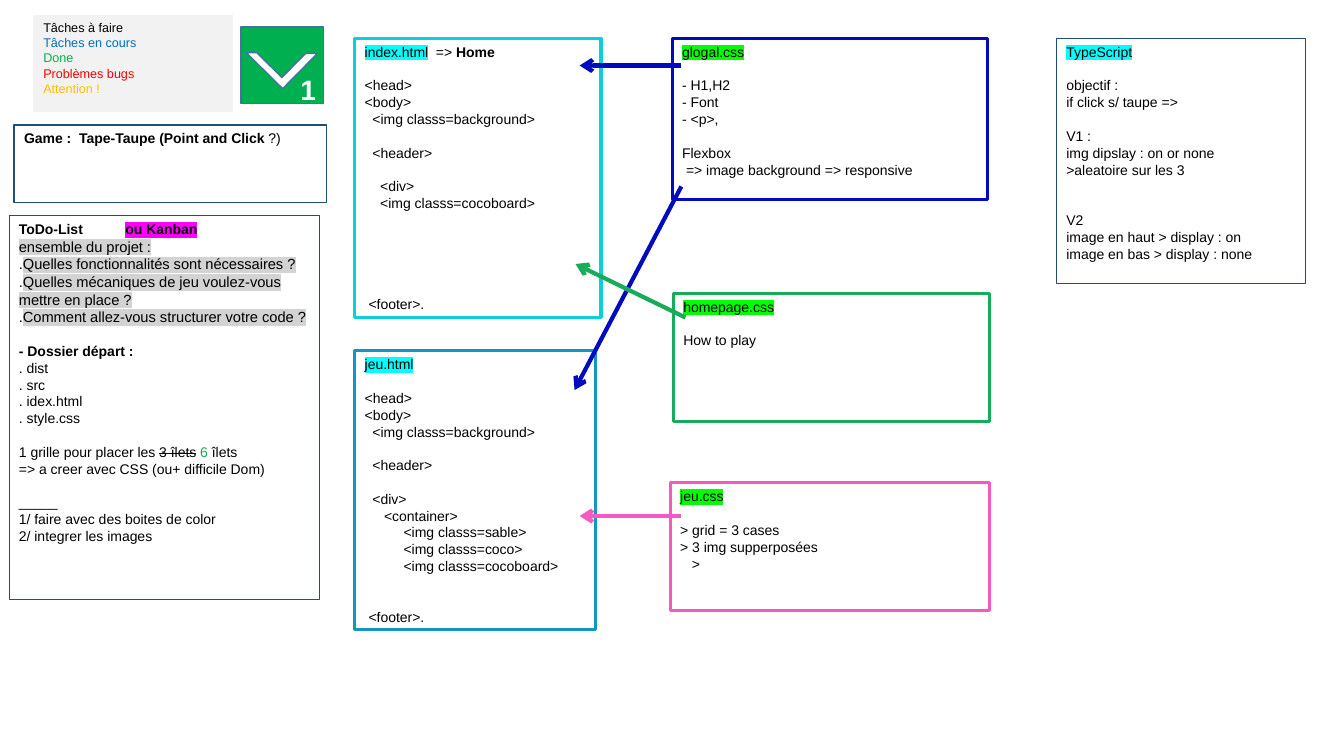
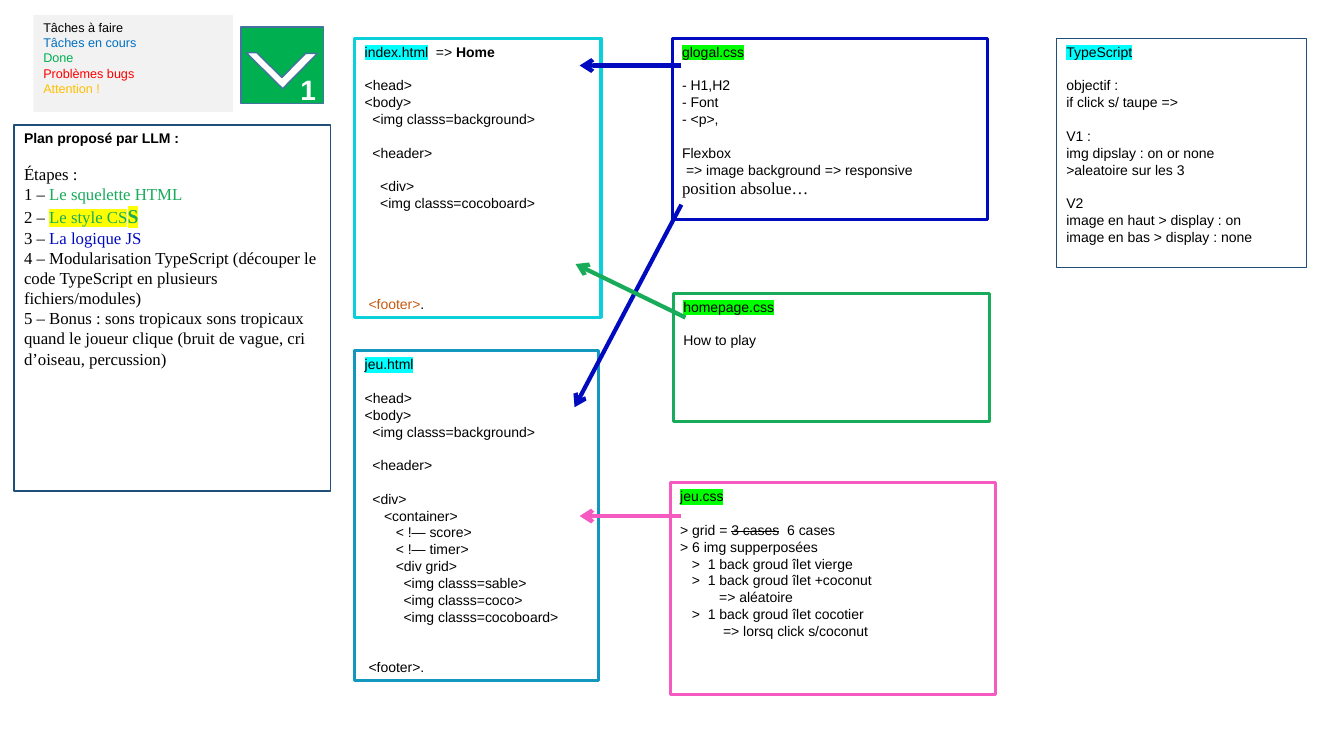
from dataclasses import dataclass
from lxml.etree import SubElement
from pptx import Presentation
from pptx.dml.color import RGBColor
from pptx.enum.shapes import MSO_CONNECTOR, MSO_SHAPE
from pptx.enum.text import MSO_ANCHOR, PP_ALIGN
from pptx.oxml import parse_xml
from pptx.oxml.ns import nsdecls, qn
from pptx.util import Pt


@dataclass(frozen=True)
class Theme:
    black: str = "000000"
    white: str = "FFFFFF"
    navy: str = "1F4F79"
    steel: str = "43739E"
    turquoise: str = "0BD0D9"
    teal: str = "1397BF"
    blue: str = "000ABF"
    green: str = "18AB5A"
    pink: str = "F55AC1"
    orange: str = "C55A11"
    panel: str = "F2F2F2"
    doing: str = "0070C0"
    done: str = "00B050"
    bug: str = "FF0000"
    warning: str = "FFC000"
    mark_html: str = "00FFFF"
    mark_css: str = "00FF00"
    mark_tool: str = "FF00FF"
    mark_question: str = "D3D3D3"
    mark_style: str = "FFFF00"
    sans: str = "Arial"
    serif: str = "Times New Roman"
    small: float = 9
    body: float = 10
    question: float = 10.5
    plan: float = 12
    accent: float = 14
    badge: float = 20
    blank_line: float = 12
    space: float = 2.78


THEME = Theme()


@dataclass(frozen=True)
class Span:
    text: str
    color: str = THEME.black
    mark: str = ""
    bold: bool = False
    strike: bool = False
    size: float = THEME.body
    font: str = THEME.sans


@dataclass(frozen=True)
class Line:
    spans: tuple[Span, ...]
    gap: int = 0        # blank lines above
    indent: int = 0     # in widths of a space
    hang: float = 0     # where a tab lands, in points after the indent


@dataclass(frozen=True)
class Box:
    left: float
    top: float
    width: float
    height: float
    lines: tuple[Line, ...] = ()
    border: str = ""
    weight: float = 2.25
    fill: str = ""


@dataclass(frozen=True)
class Arrow:
    start: tuple[float, float]
    end: tuple[float, float]
    color: str


# Text helpers
def row(text: str, gap: int = 0, indent: int = 0, hang: float = 0, **style) -> Line:
    return Line((Span(text, **style),), gap, indent, hang)


def plan_row(number: str, text: str, **style) -> Line:
    base = {"size": THEME.plan, "font": THEME.serif}
    return Line((Span(number, **base), Span(text, **base, **style)))


def question(text: str) -> Line:
    return Line((Span(".", size=THEME.question),
                 Span(text, mark=THEME.mark_question, size=THEME.question)))


# Drawing
def paint(shape, fill: str, border: str, weight: float) -> None:
    shape.shadow.inherit = False
    if fill:
        shape.fill.solid()
        shape.fill.fore_color.rgb = RGBColor.from_string(fill)
    else:
        shape.fill.background()
    if border:
        shape.line.color.rgb = RGBColor.from_string(border)
        shape.line.width = Pt(weight)
    else:
        shape.line.fill.background()


def add_span(para, span: Span) -> None:
    run = para.add_run()
    run.text = span.text
    run.font.size = Pt(span.size)
    run.font.bold = span.bold
    run.font.name = span.font
    run.font.color.rgb = RGBColor.from_string(span.color)
    properties = run.font._element
    if span.strike:
        properties.set("strike", "sngStrike")
    if span.mark:
        properties.find(qn("a:solidFill")).addnext(parse_xml(
            f'<a:highlight {nsdecls("a")}><a:srgbClr val="{span.mark}"/></a:highlight>'))


def write_lines(frame, lines: tuple[Line, ...]) -> None:
    frame.word_wrap = True
    frame.vertical_anchor = MSO_ANCHOR.TOP
    for index, line in enumerate(lines):
        para = frame.add_paragraph() if index else frame.paragraphs[0]
        para.alignment = PP_ALIGN.LEFT
        para.space_before = Pt(line.gap * THEME.blank_line)
        properties = para._p.get_or_add_pPr()
        properties.set("marL", str(Pt(line.indent * THEME.space + line.hang)))
        properties.set("indent", str(-Pt(line.hang)))
        for span in line.spans:
            add_span(para, span)


def draw_box(page, box: Box, preset=MSO_SHAPE.RECTANGLE):
    shape = page.shapes.add_shape(preset, Pt(box.left), Pt(box.top), Pt(box.width), Pt(box.height))
    paint(shape, box.fill, box.border, box.weight)
    write_lines(shape.text_frame, box.lines)
    return shape


def draw_arrow(page, arrow: Arrow) -> None:
    points = [Pt(value) for value in arrow.start + arrow.end]
    connector = page.shapes.add_connector(MSO_CONNECTOR.STRAIGHT, *points)
    connector.line.color.rgb = RGBColor.from_string(arrow.color)
    connector.line.width = Pt(3)
    SubElement(connector.line._get_or_add_ln(), qn("a:tailEnd"), type="arrow")
    SubElement(connector._element.spPr, qn("a:effectLst"))


def draw_badge(page) -> None:
    draw_box(page, Box(172.1, 19.4, 59, 54.7, border=THEME.steel, weight=1, fill=THEME.done))
    check = draw_box(page, Box(182.9, 20.2, 36.7, 35.3, border=THEME.steel, weight=1,
                               fill=THEME.white), MSO_SHAPE.HALF_FRAME)
    check.adjustments[0], check.adjustments[1] = 0.15, 0.17
    check.rotation = 224.6
    number = page.shapes.add_textbox(Pt(207.4), Pt(48.2), Pt(18.7), Pt(31))
    write_lines(number.text_frame,
                (row("1", color=THEME.white, bold=True, size=THEME.badge),))


# Content shared by both pages
LEGEND = Box(23.8, 10.8, 142.6, 69.1, fill=THEME.panel, lines=tuple(
    row(text, color=color, size=THEME.small) for text, color in (
        ("Tâches à faire", THEME.black), ("Tâches en cours", THEME.doing),
        ("Done", THEME.done), ("Problèmes bugs", THEME.bug),
        ("Attention\u00a0!", THEME.warning))))
HTML_START = (row("<head>", gap=1), row("<body>"), row("<img classs=background>", indent=2),
              row("<header>", gap=1, indent=2))
GLOBAL_LINES = (row("glogal.css", mark=THEME.mark_css), row("- H1,H2", gap=1), row("- Font"),
                row("- <p>,"), row("Flexbox", gap=1),
                row("=> image background => responsive", indent=1))
HOMEPAGE = Box(481, 209.5, 226.1, 91.4, border=THEME.green, lines=(
    row("homepage.css", mark=THEME.mark_css), row("How to play", gap=1)))


def index_box(footer_color: str) -> Box:
    title = Line((Span("index.html", mark=THEME.mark_html), Span("\t=> "),
                  Span("Home", bold=True)), hang=50.9)
    footer = Line((Span("<footer>", color=footer_color), Span(".")), gap=5, indent=1)
    return Box(253.4, 27.4, 175.9, 199.4, border=THEME.turquoise, lines=(
        title, *HTML_START, row("<div>", gap=1, indent=4),
        row("<img classs=cocoboard>", indent=4), footer))


def game_box(width: float, height: float, inserted: tuple[str, ...] = ()) -> Box:
    images = ("<img classs=sable>", "<img classs=coco>", "<img classs=cocoboard>")
    return Box(253.4, 250.6, width, height, border=THEME.teal, lines=(
        row("jeu.html", mark=THEME.mark_html), *HTML_START, row("<div>", gap=1, indent=2),
        row("<container>", indent=5), *(row(text, indent=8) for text in inserted),
        *(row(text, indent=10) for text in images), row("<footer>.", gap=2, indent=1)))


def global_box(height: float, extra: tuple[Line, ...] = ()) -> Box:
    return Box(480.2, 27.4, 225.4, height, GLOBAL_LINES + extra, THEME.blue)


def game_style_box(width: float, height: float, lines: tuple[Line, ...]) -> Box:
    title = row("jeu.css", mark=THEME.mark_css)
    return Box(478.8, 344.9, width, height, (title, *lines), THEME.pink)


def script_box(width: float, height: float, second_gap: int) -> Box:
    return Box(754.6, 27.4, width, height, border=THEME.navy, weight=0.5, lines=(
        row("TypeScript", mark=THEME.mark_html), row("objectif\u00a0:", gap=1),
        row("if click s/ taupe =>"), row("V1\u00a0:", gap=1),
        row("img dipslay\u00a0: on or none"), row(">aleatoire sur les 3"),
        row("V2", gap=second_gap), row("image en haut > display\u00a0: on"),
        row("image en bas > display\u00a0: none")))


def arrows(blue_top: float, blue_bottom: float) -> tuple[Arrow, ...]:
    return (Arrow((486.7, 46.8), (414, 46.8), THEME.blue),
            Arrow((486.7, blue_top), (410.4, blue_bottom), THEME.blue),
            Arrow((489.6, 226.8), (411.1, 188.6), THEME.green),
            Arrow((486.7, 368.6), (414, 368.6), THEME.pink))


# Content of the first page
TODO = Box(6.4, 154.1, 221.8, 274.3, border=THEME.navy, weight=0.5, lines=(
    Line((Span("ToDo-List\t", bold=True), Span("ou Kanban", mark=THEME.mark_tool, bold=True)),
         hang=76.1),
    row("ensemble du projet :", mark=THEME.mark_question, size=THEME.question),
    question("Quelles fonctionnalités sont nécessaires ?"),
    question("Quelles mécaniques de jeu voulez-vous mettre en place ?"),
    question("Comment allez-vous structurer votre code ?"),
    row("- Dossier départ\u00a0:", gap=1, bold=True),
    row(". dist"), row(". src"), row(". idex.html"), row(". style.css"),
    Line((Span("1 grille pour placer les "), Span("3 îlets", strike=True), Span(" "),
          Span("6 ", color=THEME.green), Span("îlets")), gap=1),
    row("=> a creer avec CSS (ou+ difficile Dom)"), row("_____", gap=1),
    row("1/ faire avec des boites de color"), row("2/ integrer les images")))
GAME_NAME = Box(10.1, 89.3, 223.2, 55.4, border=THEME.navy, weight=1, lines=(
    Line((Span("Game\u00a0:\tTape-Taupe (Point and Click", bold=True), Span("\u00a0?)")),
         hang=39.4),))
FIRST_PAGE = (
    TODO, index_box(THEME.black), global_box(115.2), script_box(177.8, 175, 2), LEGEND,
    game_box(172.1, 199.4), HOMEPAGE,
    game_style_box(228.2, 91.4, (row("> grid = 3 cases", gap=1), row("> 3 img supperposées"),
                                 row(">", indent=3))),
    GAME_NAME)

# Content of the second page
PLAN = Box(10.1, 89.3, 226.1, 261.4, border=THEME.navy, weight=1, lines=(
    row("Plan proposé par LLM\u00a0:", bold=True),
    row("Étapes\u00a0:", gap=1, size=THEME.plan, font=THEME.serif),
    plan_row("1 – ", "Le squelette HTML", color=THEME.green),
    Line((*plan_row("2 – ", "Le style CS", color=THEME.green, mark=THEME.mark_style).spans,
          Span("S", THEME.green, THEME.mark_style, True, size=THEME.accent, font=THEME.serif))),
    plan_row("3 – ", "La logique JS", color=THEME.blue),
    plan_row("4 – ", "Modularisation TypeScript (découper le code TypeScript en plusieurs "
                     "fichiers/modules)"),
    plan_row("5 – ", "Bonus\u00a0: sons tropicaux sons tropicaux quand le joueur clique "
                     "(bruit de vague, cri d’oiseau, percussion)")))
GRID_LINES = (
    Line((Span("> grid = "), Span("3 cases", strike=True), Span("\t6 cases")), gap=1, hang=76.4),
    row("> 6 img supperposées"),
    row(">\t1 back groud îlet vierge", indent=3, hang=11.4),
    row(">\t1 back groud îlet +coconut", indent=3, hang=11.4),
    row("=> aléatoire", indent=10),
    row(">\t1 back groud îlet cocotier", indent=3, hang=11.4),
    row("=> lorsq click s/coconut", indent=11))
SECOND_PAGE = (
    index_box(THEME.orange),
    global_box(129.6, (row("position absolue…", size=THEME.plan, font=THEME.serif),)),
    script_box(178.4, 163.4, 1), LEGEND,
    game_box(174.2, 235.4, ("<\u00a0!— score>", "<\u00a0!— timer>", "<div grid>")),
    HOMEPAGE, game_style_box(232.6, 151.2, GRID_LINES), PLAN)


def main() -> None:
    deck = Presentation()
    deck.slide_width, deck.slide_height = Pt(960), Pt(540)
    for boxes, links in ((FIRST_PAGE, arrows(133.2, 278.6)), (SECOND_PAGE, arrows(146.2, 290.9))):
        page = deck.slides.add_slide(deck.slide_layouts[6])
        for box in boxes:
            draw_box(page, box)
        draw_badge(page)
        for link in links:
            draw_arrow(page, link)
    deck.save("out.pptx")


if __name__ == "__main__":
    main()
